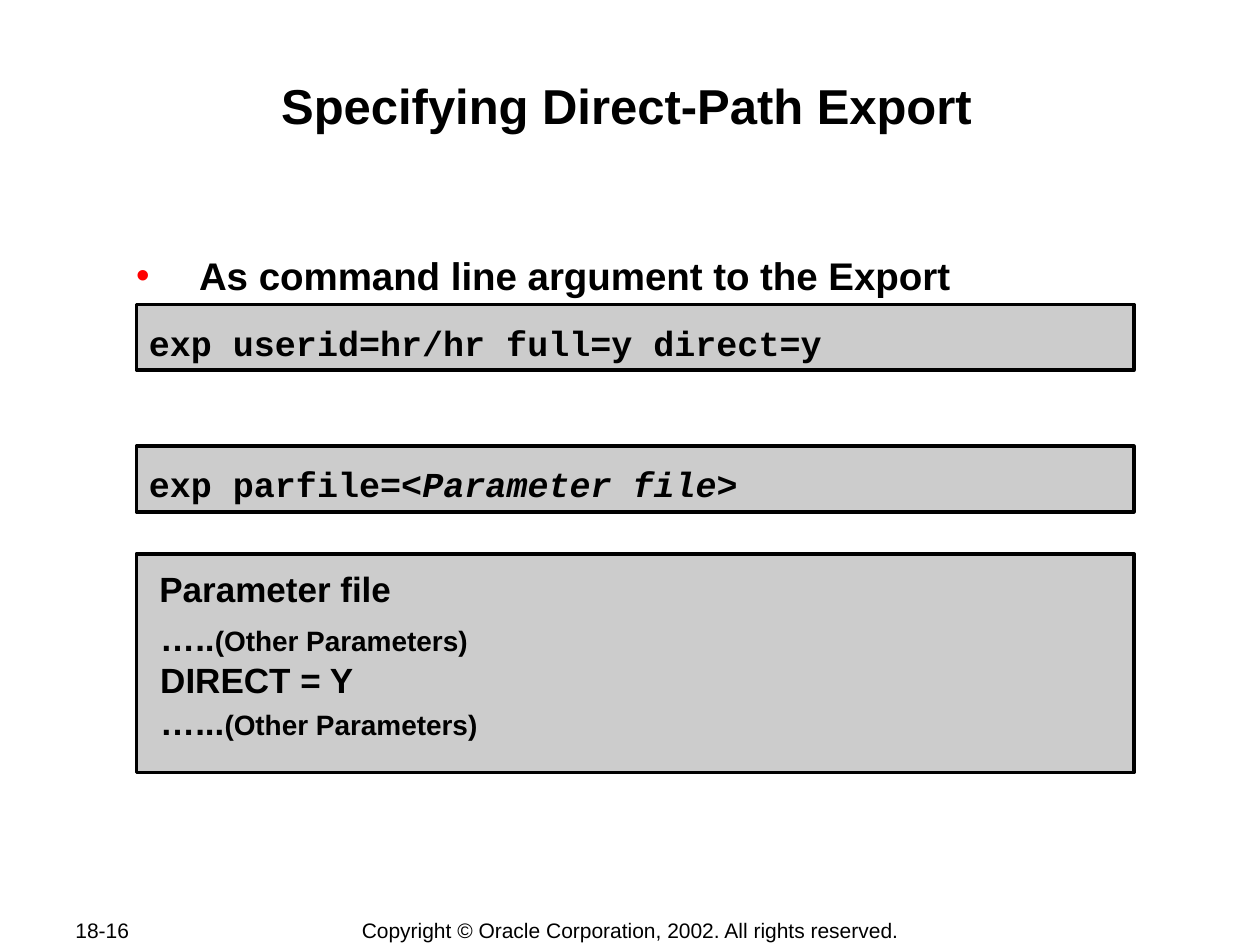
import pptx
import pptx.util
import pptx.dml.color
import pptx.enum.shapes
import pptx.enum.text
import pptx.oxml

Pt = pptx.util.Pt
ALIGN = pptx.enum.text.PP_ALIGN
ANCHOR = pptx.enum.text.MSO_ANCHOR
BLACK = pptx.dml.color.RGBColor(0, 0, 0)
GREY = pptx.dml.color.RGBColor(0xCC, 0xCC, 0xCC)
RED = pptx.dml.color.RGBColor(0xFF, 0, 0)
NS = 'xmlns:a="http://schemas.openxmlformats.org/drawingml/2006/main"'

deck = pptx.Presentation()
deck.slide_width, deck.slide_height = Pt(720), Pt(540)
slide = deck.slides.add_slide(deck.slide_layouts[6])


def add_run(para, text, size, face="Arial", bold=True, slant=False):
    run = para.add_run()
    run.text = text
    font = run.font
    font.size, font.name = Pt(size), face
    font.bold, font.italic = bold, slant
    font.color.rgb = BLACK


def add_text(left, top, width, height, inset=None, wrap=False):
    box = slide.shapes.add_textbox(Pt(left), Pt(top), Pt(width), Pt(height))
    frame = box.text_frame
    frame.word_wrap = wrap
    if inset is not None:
        frame.margin_left = frame.margin_right = Pt(inset)
        frame.margin_top = frame.margin_bottom = Pt(inset)
    return frame


# Footer
frame = add_text(36, 524, 76, 14.5)
frame.vertical_anchor = ANCHOR.MIDDLE
add_run(frame.paragraphs[0], "18-16", 12, bold=False)

frame = add_text(198.5, 524, 323.5, 15)
frame.vertical_anchor = ANCHOR.MIDDLE
para = frame.paragraphs[0]
para.alignment = ALIGN.CENTER
add_run(para, "Copyright © Oracle Corporation, 2002. All rights reserved.", 12, bold=False)

# Title
frame = add_text(70, 42.5, 576, 69, 0.7, True)
para = frame.paragraphs[0]
para.alignment = ALIGN.CENTER
add_run(para, "Specifying Direct-Path Export", 28)

# Bullet
frame = add_text(68, 143.5, 580, 134, 0.7, True)
para = frame.paragraphs[0]
props = para._p.get_or_add_pPr()
props.set("marL", str(Pt(45)))
props.set("indent", str(-Pt(36)))
for tag in (f'<a:buClr {NS}><a:srgbClr val="{RED}"/></a:buClr>',
            f'<a:buFont {NS} typeface="Arial"/>',
            f'<a:buChar {NS} char="•"/>'):
    props.append(pptx.oxml.parse_xml(tag))
add_run(para, "As command line argument to the Export", 22)

# Grey boxes: two commands and the file listing
boxes = [
    (174, 37.5, [("exp userid=hr/hr full=y direct=y", False)]),
    (255, 37.5, [("exp parfile=<", False), ("Parameter file>", True)]),
    (316.5, 125, []),
]
for top, height, runs in boxes:
    box = slide.shapes.add_shape(pptx.enum.shapes.MSO_SHAPE.RECTANGLE,
                                 Pt(78), Pt(top), Pt(570), Pt(height))
    box.shadow.inherit = False
    box.fill.solid()
    box.fill.fore_color.rgb = GREY
    box.line.color.rgb = BLACK
    box.line.width = Pt(2)
    frame = box.text_frame
    frame.vertical_anchor = ANCHOR.TOP
    para = frame.paragraphs[0]
    para.alignment = ALIGN.LEFT
    para.line_spacing = 1.25
    for text, slant in runs:
        add_run(para, text, 20, "Courier New", slant=slant)

# Content of the parameter file
frame = add_text(84, 316, 152.5, 36)
para = frame.paragraphs[0]
para.line_spacing = 1.2
add_run(para, "Parameter file", 20)

frame = add_text(84.5, 348.5, 196, 79)
lines = [("…..", "(Other Parameters)"), ("DIRECT = Y", ""), ("…...", "(Other Parameters)")]
for num, (main, note) in enumerate(lines):
    para = frame.add_paragraph() if num else frame.paragraphs[0]
    add_run(para, main, 20)
    if note:
        add_run(para, note, 16)

deck.save("out.pptx")
